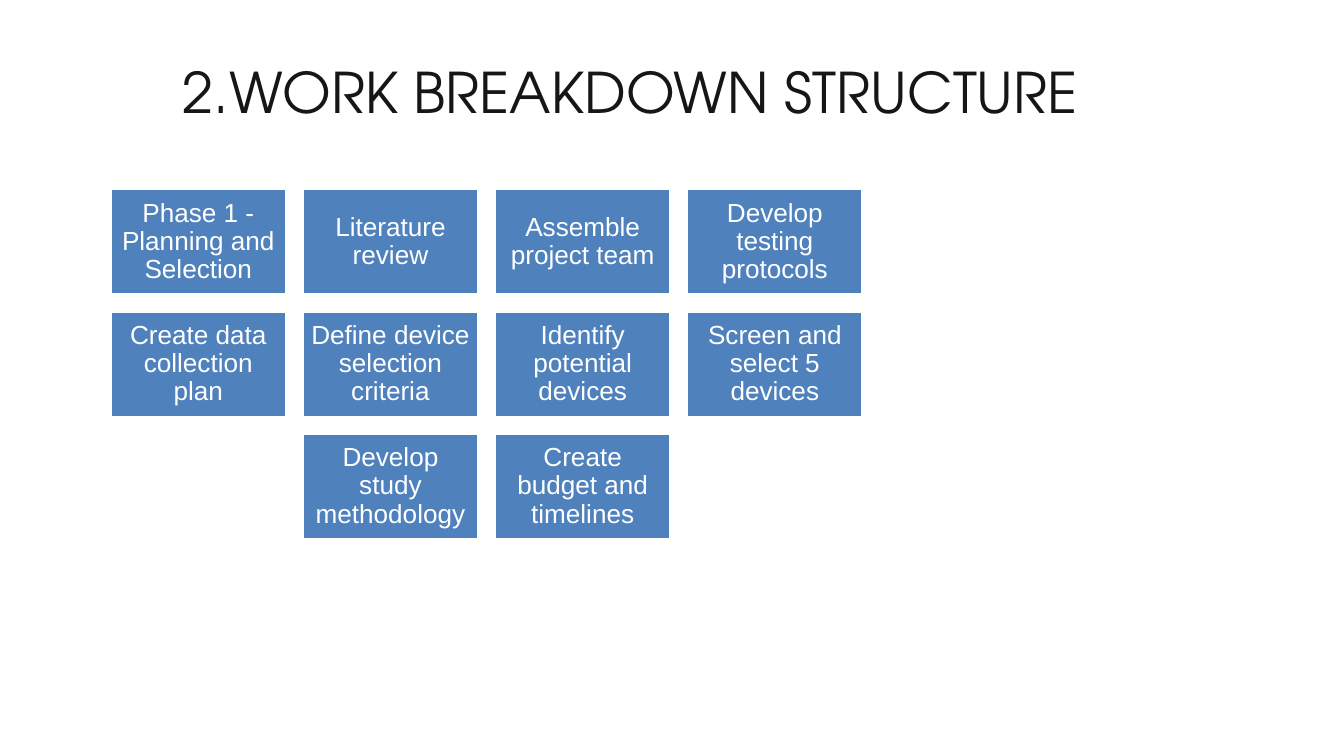
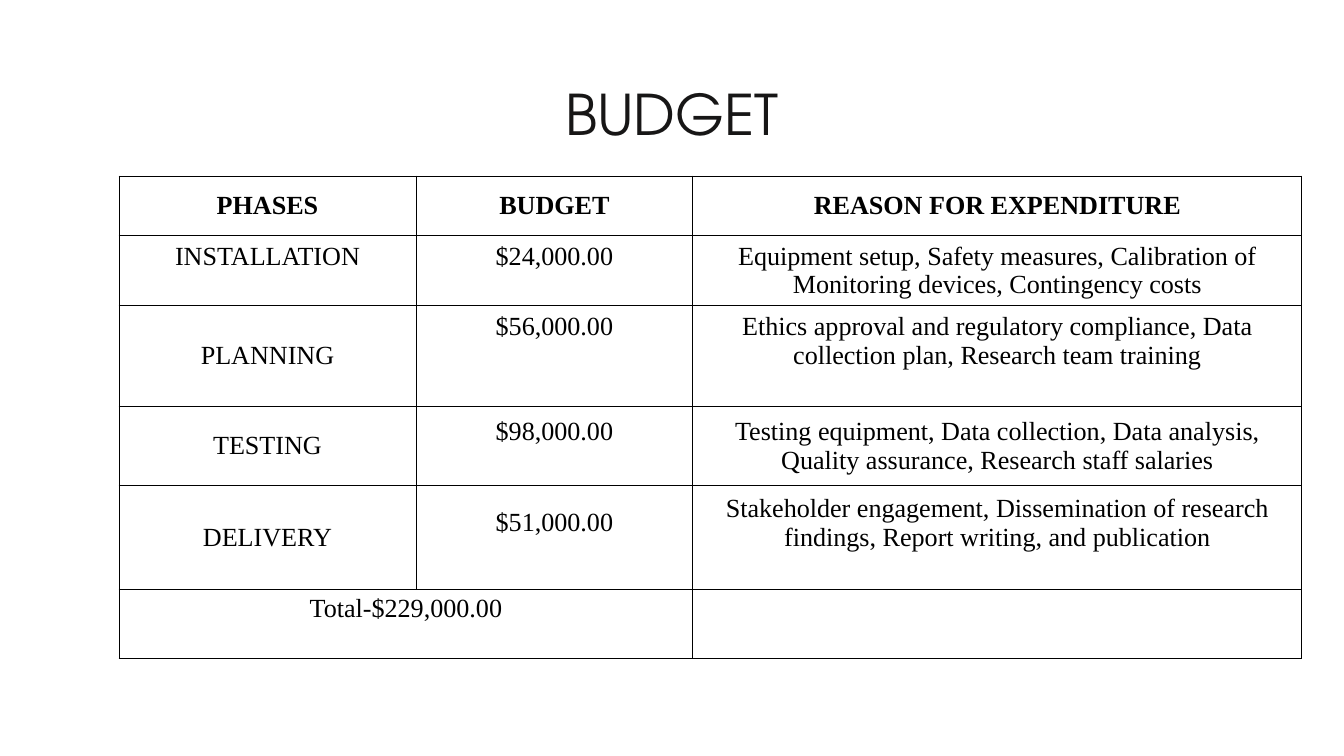
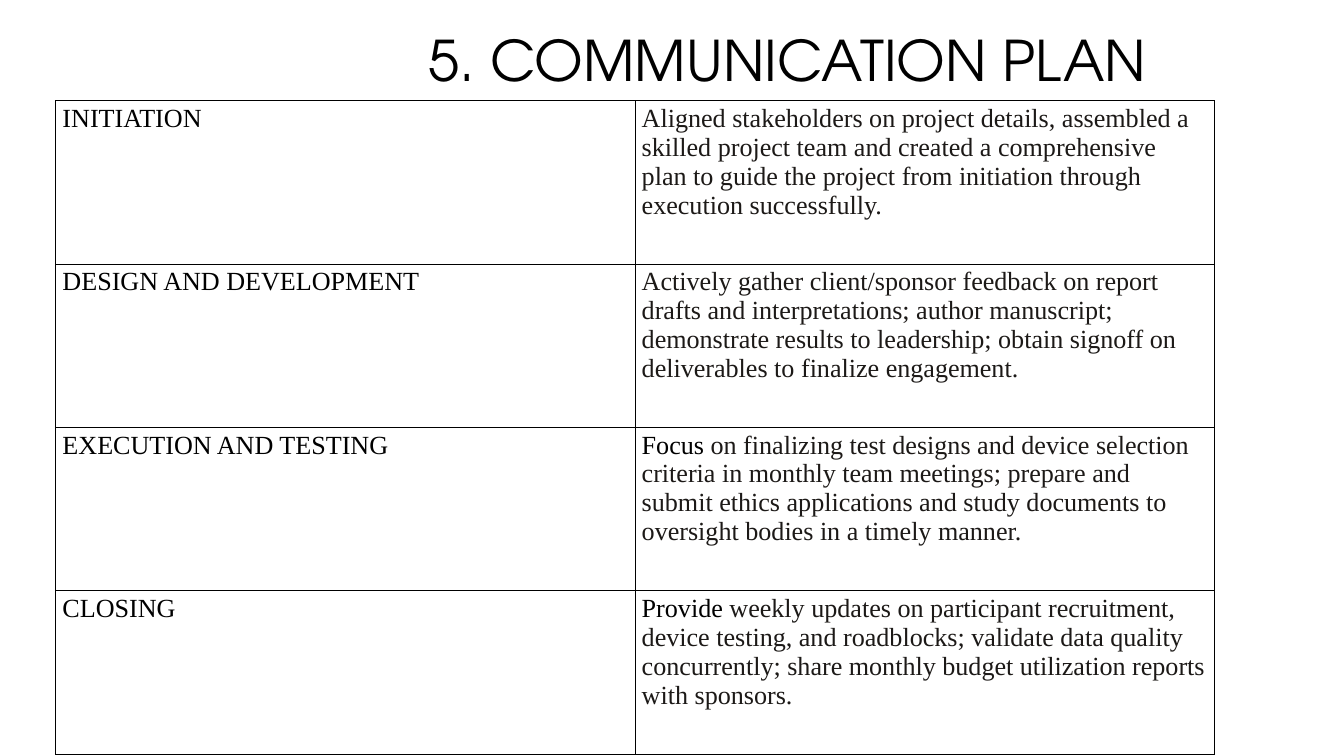
from dataclasses import dataclass

from lxml.etree import SubElement
from pptx import Presentation
from pptx.dml.color import RGBColor
from pptx.enum.shapes import MSO_SHAPE as Shape
from pptx.enum.text import MSO_ANCHOR as Anchor, PP_ALIGN as Align
from pptx.oxml.ns import qn
from pptx.util import Inches, Pt

BLACK = RGBColor(0x00, 0x00, 0x00)
WHITE = RGBColor(0xFF, 0xFF, 0xFF)
TITLE_INK = RGBColor(0x17, 0x16, 0x16)
BODY_INK = RGBColor(0x1C, 0x19, 0x17)
TASK_BLUE = RGBColor(0x4F, 0x81, 0xBD)

TITLE_FONT = "TeX Gyre Adventor"
TASK_FONT = "Arial"
TABLE_FONT = "Times New Roman"
BODY_SIZE = 28
LINE_HEIGHT = 0.43
CELL_MARGIN = 0.05


@dataclass
class Title:
    text: str
    left: float
    top: float
    width: float
    color: RGBColor = TITLE_INK


@dataclass
class CellText:
    """Text of a cell; raised is the number of free lines kept below it."""
    text: str
    raised: int = 0


@dataclass
class Message:
    phase: str
    lead: str
    detail: str


TASK_ROWS = [
    (0, ["Phase 1 - Planning and Selection", "Literature review",
         "Assemble project team", "Develop testing protocols"]),
    (0, ["Create data collection plan", "Define device selection criteria",
         "Identify potential devices", "Screen and select 5 devices"]),
    (1, ["Develop study methodology", "Create budget and timelines"]),
]

BUDGET_ROWS = [
    [CellText("PHASES"), CellText("BUDGET"), CellText("REASON FOR EXPENDITURE")],
    [CellText("INSTALLATION", 1), CellText("$24,000.00", 1),
     CellText("Equipment setup, Safety measures, Calibration of Monitoring devices, "
              "Contingency costs")],
    [CellText("PLANNING"), CellText("$56,000.00", 2),
     CellText("Ethics approval and regulatory compliance, Data collection plan, "
              "Research team training", 1)],
    [CellText("TESTING"), CellText("$98,000.00", 1),
     CellText("Testing equipment, Data collection, Data analysis, Quality assurance, "
              "Research staff salaries")],
    [CellText("DELIVERY"), CellText("$51,000.00", 1),
     CellText("Stakeholder engagement, Dissemination of research findings, "
              "Report writing, and publication", 1)],
    [CellText("Total-$229,000.00", 1)],
]

MESSAGES = [
    Message("INITIATION", "",
            "Aligned stakeholders on project details, assembled a skilled project team and "
            "created a comprehensive plan to guide the project from initiation through "
            "execution successfully."),
    Message("DESIGN AND DEVELOPMENT", "",
            "Actively gather client/sponsor feedback on report drafts and interpretations; "
            "author manuscript; demonstrate results to leadership; obtain signoff on "
            "deliverables to finalize engagement."),
    Message("EXECUTION AND TESTING", "Focus ",
            "on finalizing test designs and device selection criteria in monthly team "
            "meetings; prepare and submit ethics applications and study documents to "
            "oversight bodies in a timely manner."),
    Message("CLOSING", "Provide ",
            "weekly updates on participant recruitment, device testing, and roadblocks; "
            "validate data quality concurrently; share monthly budget utilization reports "
            "with sponsors."),
]


def add_span(para, text: str, font: str, size: float, color: RGBColor, bold: bool = False):
    span = para.add_run()
    span.text = text
    span.font.name = font
    span.font.size = Pt(size)
    span.font.bold = bold
    span.font.color.rgb = color


def set_margins(frame, size: float):
    frame.margin_left = frame.margin_right = Inches(size)
    frame.margin_top = frame.margin_bottom = Inches(size)


def add_page(deck, title: Title):
    page = deck.slides.add_slide(deck.slide_layouts[6])
    box = page.shapes.add_textbox(Inches(title.left), Inches(title.top),
                                  Inches(title.width), Inches(1.41))
    frame = box.text_frame
    frame.word_wrap = True
    set_margins(frame, 0)
    para = frame.paragraphs[0]
    para.alignment = Align.CENTER
    para.line_spacing = 1.4
    add_span(para, title.text, TITLE_FONT, 60, title.color)
    return page


def add_task(page, text: str, column: int, row: int):
    box = page.shapes.add_shape(Shape.RECTANGLE, Inches(1.65 + 2.86 * column),
                                Inches(2.82 + 1.82 * row), Inches(2.6), Inches(1.56))
    box.shadow.inherit = False
    box.fill.solid()
    box.fill.fore_color.rgb = TASK_BLUE
    box.line.color.rgb = WHITE
    box.line.width = Pt(2)
    frame = box.text_frame
    frame.word_wrap = True
    frame.vertical_anchor = Anchor.MIDDLE
    set_margins(frame, 0.11)
    para = frame.paragraphs[0]
    para.alignment = Align.CENTER
    para.line_spacing = 0.9
    add_span(para, text, TASK_FONT, BODY_SIZE, WHITE)


def outline_cell(cell):
    """Give a cell thin black borders and no fill."""
    properties = cell._tc.get_or_add_tcPr()
    for side in ("a:lnL", "a:lnR", "a:lnT", "a:lnB"):
        line = SubElement(properties, qn(side), w=str(Pt(1)))
        fill = SubElement(line, qn("a:solidFill"))
        SubElement(fill, qn("a:srgbClr"), val=str(BLACK))
    cell.fill.background()


def add_grid(page, left: float, top: float, widths: list[float], heights: list[float]):
    frame = page.shapes.add_table(len(heights), len(widths), Inches(left), Inches(top),
                                  Inches(sum(widths)), Inches(sum(heights)))
    table = frame.table
    table.first_row = table.horz_banding = False
    for column, width in zip(table.columns, widths):
        column.width = Inches(width)
    for row, height in zip(table.rows, heights):
        row.height = Inches(height)
    for cell in table.iter_cells():
        outline_cell(cell)
    return table


def add_work_breakdown(deck):
    page = add_page(deck, Title("2.WORK BREAKDOWN STRUCTURE ", 1.88, 0.45, 15.23))
    for row, (first_column, tasks) in enumerate(TASK_ROWS):
        for column, task in enumerate(tasks, first_column):
            add_task(page, task, column, row)


def add_budget(deck):
    page = add_page(deck, Title("BUDGET", 0.97, 0.78, 18.05))
    table = add_grid(page, 1.77, 2.62, [4.42, 4.12, 9.06],
                     [0.89, 1.03, 1.5, 1.18, 1.54, 1.03])
    for row, entries in enumerate(BUDGET_ROWS):
        for column, entry in enumerate(entries):
            cell = table.cell(row, column)
            cell.vertical_anchor = Anchor.MIDDLE
            cell.margin_bottom = Inches(CELL_MARGIN + LINE_HEIGHT * entry.raised)
            para = cell.text_frame.paragraphs[0]
            para.alignment = Align.CENTER
            add_span(para, entry.text, TABLE_FONT, BODY_SIZE, BLACK, bold=row == 0)
    total_row = len(BUDGET_ROWS) - 1
    table.cell(total_row, 0).merge(table.cell(total_row, 1))


def add_communication_plan(deck):
    page = add_page(deck, Title("5. COMMUNICATION PLAN", 5.67, -0.02, 12.09, BLACK))
    table = add_grid(page, 0.83, 1.5, [8.62] * 2, [2.43] * len(MESSAGES))
    for row, message in enumerate(MESSAGES):
        phase, action = (table.cell(row, column).text_frame.paragraphs[0]
                         for column in range(2))
        add_span(phase, message.phase, TABLE_FONT, BODY_SIZE, BLACK)
        if message.lead:
            add_span(action, message.lead, TABLE_FONT, BODY_SIZE, BLACK)
        add_span(action, message.detail, TABLE_FONT, BODY_SIZE, BODY_INK)


def main():
    deck = Presentation()
    deck.slide_width = Inches(20)
    deck.slide_height = Inches(11.25)
    add_work_breakdown(deck)
    add_budget(deck)
    add_communication_plan(deck)
    deck.save("out.pptx")


if __name__ == "__main__":
    main()
